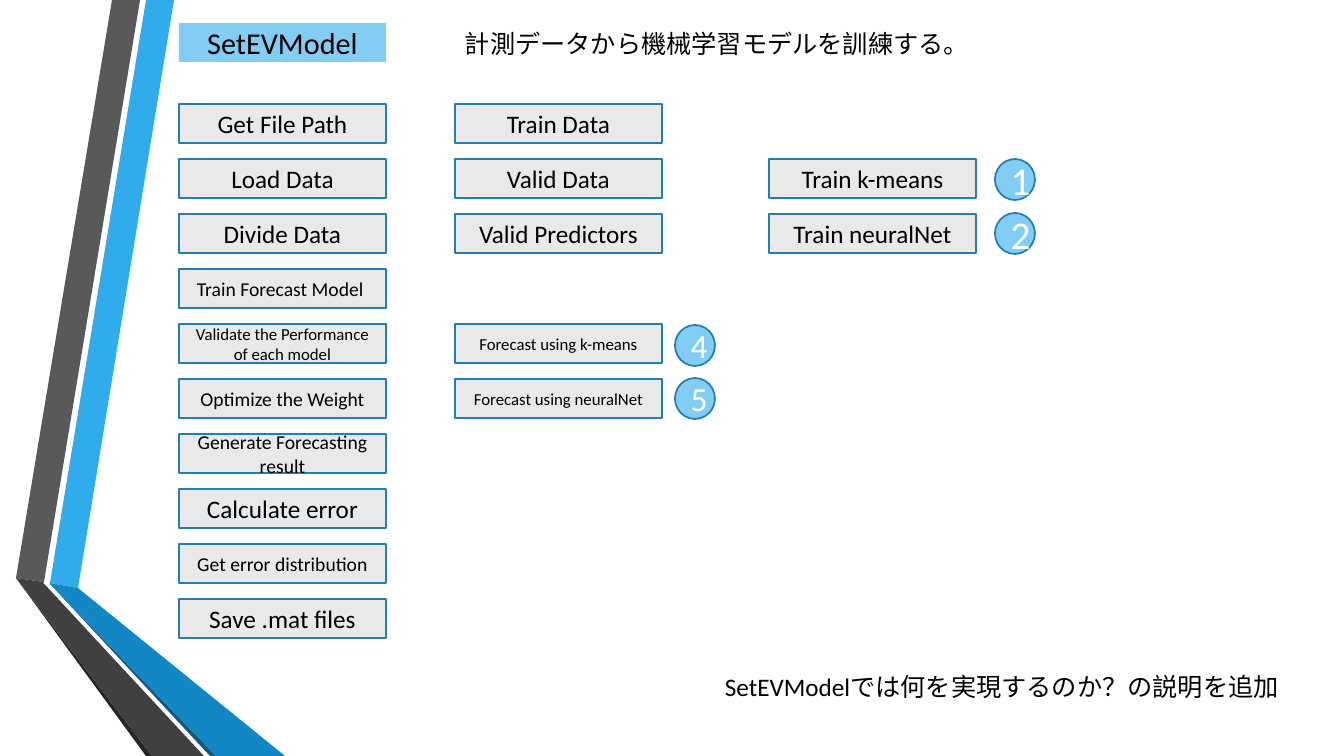
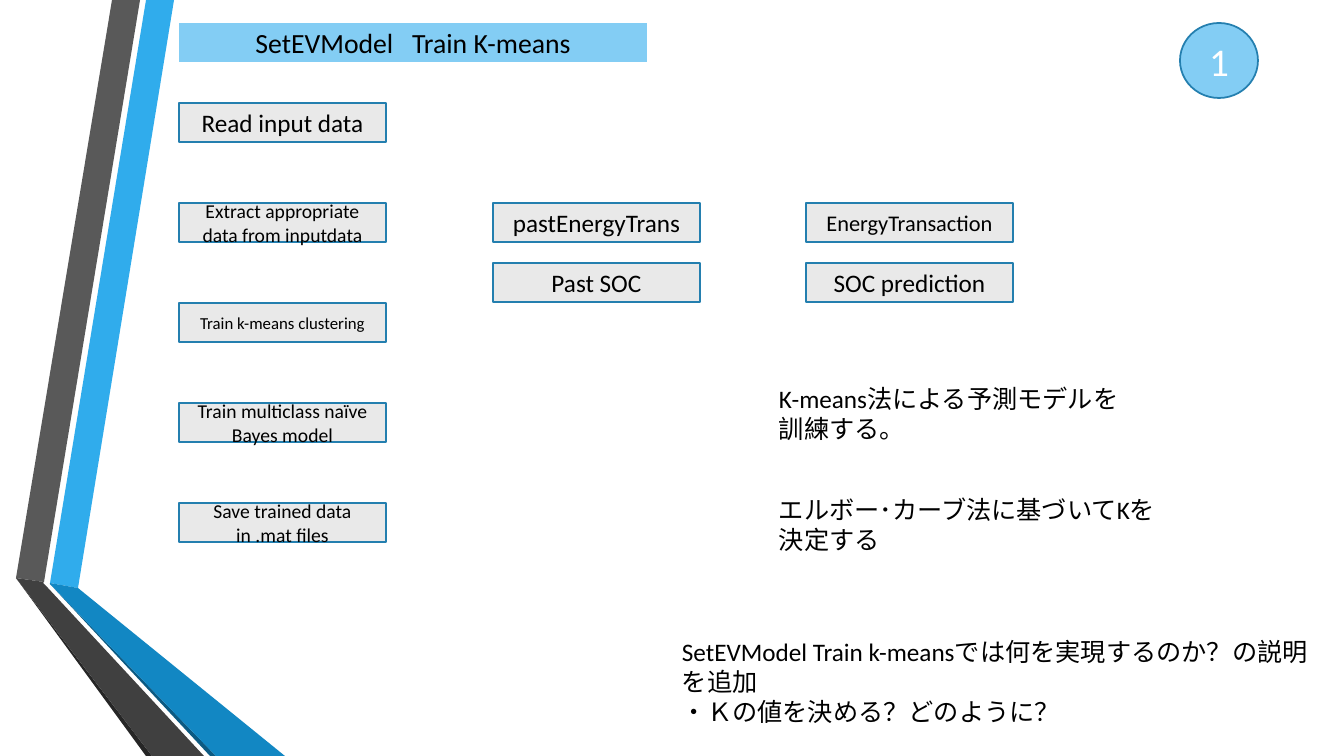
"""Two slides outlining the steps of SetEVModel."""
from dataclasses import dataclass

from pptx import Presentation
from pptx.dml.color import RGBColor
from pptx.enum.shapes import MSO_SHAPE
from pptx.enum.text import MSO_ANCHOR, MSO_AUTO_SIZE, PP_ALIGN
from pptx.util import Emu, Pt

RECT = MSO_SHAPE.RECTANGLE
DISC = MSO_SHAPE.FLOWCHART_CONNECTOR
CENTER, LEFT = PP_ALIGN.CENTER, PP_ALIGN.LEFT
MIDDLE = MSO_ANCHOR.MIDDLE
GROW = MSO_AUTO_SIZE.SHAPE_TO_FIT_TEXT

SCALE = 914400 / 100.8  # EMU in one pixel
WIDE, HIGH = 1344, 756
FONT = "Calibri"
BLACK, WHITE = "000000", "FFFFFF"
SKY, PALE, EDGE = "83CDF4", "E9E9E9", "247FAF"
MARGIN, TOP = 179, 23
BOX_W, BOX_H = 207, 39

RIBBON = [
    ("30ACEC", [(50, 583), (78, 588), (174, 0), (146, 0)]),
    ("595959", [(140, 0), (112, 0), (16, 578), (44, 582)]),
    ("262626", [(16, 578), (146, 756), (152, 756)]),
    ("0C5A82", [(50, 584), (210, 756), (216, 756)]),
    ("1287C3", [(50, 584), (216, 756), (285, 756), (78, 588), (50, 583)]),
    ("404040", [(204, 756), (48, 588), (43, 583), (44, 582), (16, 578),
                (152, 756)]),
]


@dataclass
class Grid:
    """Top of the first row and the step between rows."""
    top: int
    step: int


@dataclass
class Stack:
    """Boxes in one column, as (text, size), from a given row down."""
    left: int
    row: int
    items: list[tuple[str, int]]


@dataclass
class Badge:
    """A numbered disc."""
    text: str
    left: int
    top: int
    size: int
    wide: int = 40
    high: int = 41


@dataclass
class Note:
    """Free text, one string for each paragraph."""
    left: int
    top: int
    wide: int
    high: int
    lines: list[str]


@dataclass
class Page:
    """All that one slide shows."""
    title: str
    wide: int
    size: float
    stacks: list[tuple[Grid, Stack]]
    badges: list[Badge]
    notes: list[Note]


STEPS = Grid(104, 55)
PHASES = Grid(103, 100)
DATA = Grid(203, 60)

PAGES = [
    Page(
        "SetEVModel", BOX_W, 21.6,
        [
            (STEPS, Stack(MARGIN, 0, [
                ("Get File Path", 18),
                ("Load Data", 18),
                ("Divide Data", 18),
                ("Train Forecast Model ", 14),
                ("Validate the Performance of each model", 12),
                ("Optimize the Weight", 14),
                ("Generate Forecasting result", 14),
                ("Calculate error", 18),
                ("Get error distribution", 14),
                ("Save .mat files", 18),
            ])),
            (STEPS, Stack(455, 0, [
                ("Train Data", 18),
                ("Valid Data", 18),
                ("Valid Predictors", 18),
            ])),
            (STEPS, Stack(455, 4, [
                ("Forecast using k-means", 12),
                ("Forecast using neuralNet", 12),
            ])),
            (STEPS, Stack(769, 1, [
                ("Train k-means", 18),
                ("Train neuralNet", 18),
            ])),
        ],
        [
            Badge("1", 995, 159, 28),
            Badge("2", 995, 213, 28),
            Badge("4", 675, 325, 24),
            Badge("5", 675, 378, 24),
        ],
        [
            Note(715, 666, 629, 40,
                 ["SetEVModelでは何を実現するのか？の説明を追加"]),
            Note(455, TOP, 727, 40,
                 ["計測データから機械学習モデルを訓練する。"]),
        ],
    ),
    Page(
        "SetEVModel   Train K-means", 468, 19.8,
        [
            (PHASES, Stack(MARGIN, 0, [
                ("Read input data", 18),
                ("Extract appropriate data from inputdata", 14),
                ("Train k-means clustering", 12),
                ("Train multiclass naïve Bayes model", 14),
                ("Save trained data in .mat files", 14),
            ])),
            (DATA, Stack(493, 0, [
                ("pastEnergyTrans", 18),
                ("Past SOC", 18),
            ])),
            (DATA, Stack(806, 0, [
                ("EnergyTransaction", 16),
                ("SOC prediction", 18),
            ])),
        ],
        [Badge("1", 1180, TOP, 28, 78, 75)],
        [
            Note(672, 631, 658, 102,
                 ["SetEVModel Train k-meansでは何を実現するのか？の説明を追加",
                  "・Ｋの値を決める？どのように？"]),
            Note(769, 378, 378, 72,
                 ["K-means法による予測モデルを訓練する。"]),
            Note(769, 489, 416, 72,
                 ["エルボー･カーブ法に基づいてKを決定する"]),
        ],
    ),
]


def px(count: float) -> Emu:
    """Turn pixels into EMU."""
    return Emu(round(count * SCALE))


def tint(code: str) -> RGBColor:
    """Turn a hex string into a colour."""
    return RGBColor.from_string(code)


def paint(shape, fill: str, line: str | None = None) -> None:
    """Set fill and outline, and drop the shadow."""
    shape.shadow.inherit = False
    shape.fill.solid()
    shape.fill.fore_color.rgb = tint(fill)
    if line is None:
        shape.line.fill.background()
    else:
        shape.line.color.rgb = tint(line)
        shape.line.width = Pt(1.25)


def write(frame, lines: list[str], size: float, color: str, align) -> None:
    """Fill a text frame, one paragraph for each line."""
    frame.word_wrap = True
    for i, line in enumerate(lines):
        para = frame.paragraphs[0] if i == 0 else frame.add_paragraph()
        para.text = line
        para.alignment = align
        para.font.name = FONT
        para.font.size = Pt(size)
        para.font.color.rgb = tint(color)


def label(slide, kind, area: tuple[int, int, int, int], text: str,
          size: float, fill: str, line: str | None = EDGE,
          color: str = BLACK) -> None:
    """Draw a filled shape with centred text."""
    shape = slide.shapes.add_shape(kind, *map(px, area))
    paint(shape, fill, line)
    shape.text_frame.vertical_anchor = MIDDLE
    write(shape.text_frame, [text], size, color, CENTER)


def stack(slide, grid: Grid, col: Stack) -> None:
    """Draw a column of step boxes."""
    for row, (text, size) in enumerate(col.items, col.row):
        area = (col.left, grid.top + row * grid.step, BOX_W, BOX_H)
        label(slide, RECT, area, text, size, PALE)


def note(slide, item: Note) -> None:
    """Draw a free text box."""
    box = slide.shapes.add_textbox(
        px(item.left), px(item.top), px(item.wide), px(item.high))
    write(box.text_frame, item.lines, 18, BLACK, LEFT)
    box.text_frame.auto_size = GROW


def ribbon(slide) -> None:
    """Draw the folded bands and move them to the slide's layout."""
    tree = slide.slide_layout.shapes.element
    for fill, (start, *rest) in RIBBON:
        pen = slide.shapes.build_freeform(*start, scale=SCALE)
        pen.add_line_segments(rest, close=True)
        band = pen.convert_to_shape()
        paint(band, fill)
        tree.append(band.element)


def draw(slide, page: Page) -> None:
    """Draw one page on a slide."""
    label(slide, RECT, (MARGIN, TOP, page.wide, BOX_H), page.title,
          page.size, SKY, None)
    for grid, col in page.stacks:
        stack(slide, grid, col)
    for item in page.badges:
        area = (item.left, item.top, item.wide, item.high)
        label(slide, DISC, area, item.text, item.size, SKY, color=WHITE)
    for item in page.notes:
        note(slide, item)


def main() -> None:
    """Build and save the deck."""
    deck = Presentation()
    deck.slide_width, deck.slide_height = px(WIDE), px(HIGH)
    blank = deck.slide_layouts[6]
    slides = [deck.slides.add_slide(blank) for _ in PAGES]
    ribbon(slides[0])
    for slide, page in zip(slides, PAGES):
        draw(slide, page)
    deck.save("out.pptx")


main()
